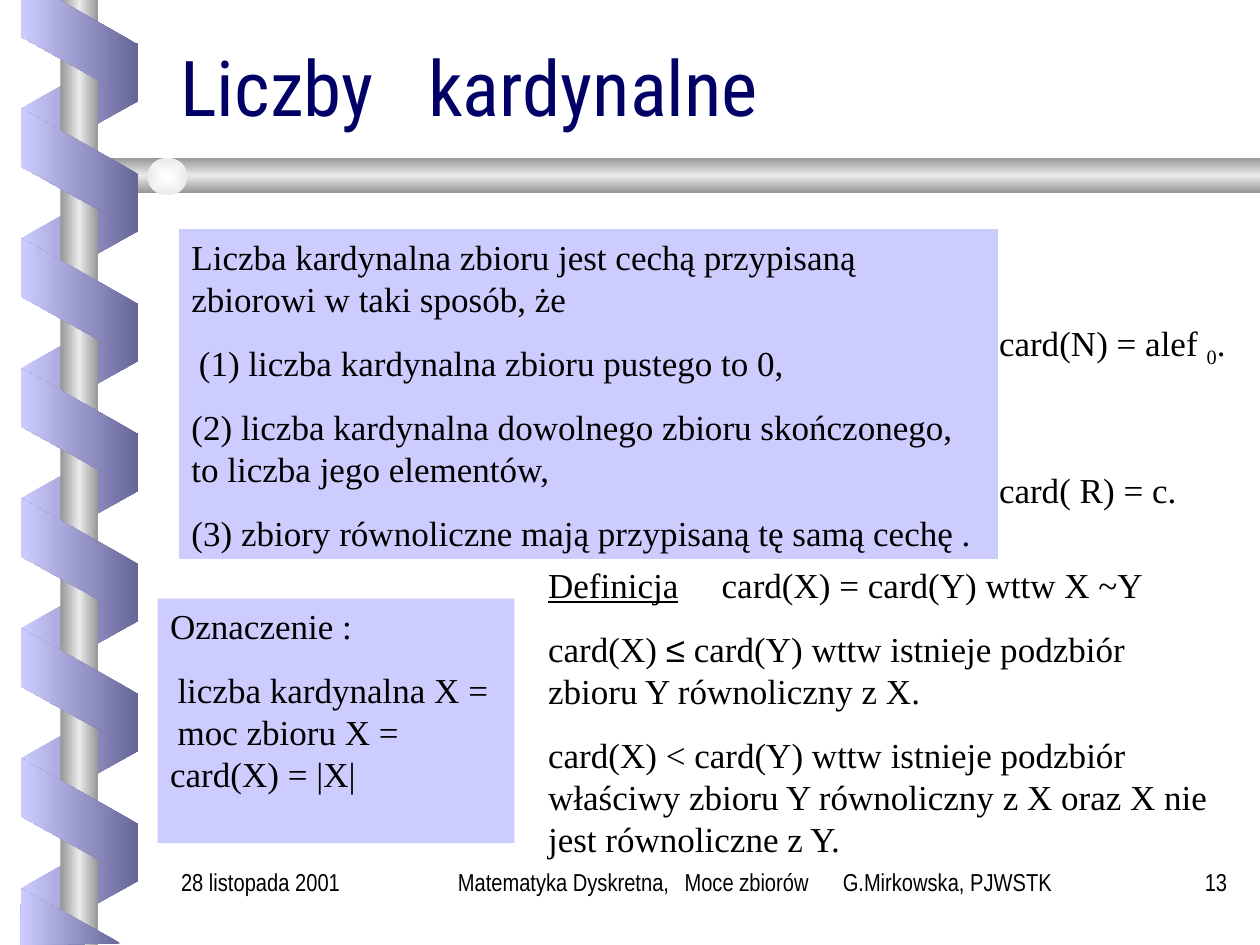
from dataclasses import dataclass

from pptx import Presentation
from pptx.dml.color import RGBColor
from pptx.enum.shapes import MSO_SHAPE
from pptx.enum.text import MSO_ANCHOR, MSO_AUTO_SIZE, PP_ALIGN
from pptx.oxml import parse_xml
from pptx.oxml.ns import nsdecls, qn
from pptx.util import Cm, Pt

RECTANGLE, OVAL, PARALLELOGRAM = MSO_SHAPE.RECTANGLE, MSO_SHAPE.OVAL, MSO_SHAPE.PARALLELOGRAM
LEFT, CENTER, RIGHT = PP_ALIGN.LEFT, PP_ALIGN.CENTER, PP_ALIGN.RIGHT
BOTTOM, TOP = MSO_ANCHOR.BOTTOM, MSO_ANCHOR.TOP
FIXED = MSO_AUTO_SIZE.NONE

SERIF, FOOTER_FONT, TITLE_FONT = "Times New Roman", "Arial Narrow", "Roboto Condensed"
LAVENDER, VIOLET, BLACK, NAVY = "CCCCFF", "666699", "000000", "000066"
RIBBON_BACK = [(0, LAVENDER), (100, VIOLET)]
RIBBON_FRONT = [(0, VIOLET), (100, LAVENDER)]
METAL = [(0, "969696"), (50, "EAEAEA"), (100, "969696")]
PEARL = [(0, "FEFFFF"), (100, "EAEAEA")]
RIBBON_STEP = 2.62


@dataclass
class Span:
    text: str
    font: str = SERIF
    underline: bool = False
    subscript: bool = False


@dataclass
class Para:
    spans: list[Span]
    space_before: float = 12.5
    margin: float = 0
    tabs: tuple[float, ...] = ()
    align: PP_ALIGN = LEFT
    line_spacing: float | None = None


@dataclass
class Box:
    """Position and size are in centimetres."""
    left: float
    top: float
    width: float
    height: float
    paras: list[Para]
    fill: str | None = None
    size: float = 20
    inset: float = 0.25


def line(text: str, **options) -> Para:
    return Para([Span(text)], **options)


def footer(left: float, width: float, text: str, inset: float = 0.25, **options) -> Box:
    para = Para([Span(text, FOOTER_FONT)], **options)
    return Box(left, 17.35, width, 1.27, [para], size=14, inset=inset)


BOXES = [
    Box(3.61, 4.62, 16.51, 6.65, [
        line("Liczba kardynalna zbioru jest cechą przypisaną zbiorowi w taki sposób, że"),
        line("(1) liczba kardynalna zbioru pustego to 0,", margin=0.15),
        line("(2) liczba kardynalna dowolnego zbioru skończonego, to liczba jego elementów,"),
        line("(3) zbiory równoliczne mają przypisaną tę samą cechę ."),
    ], fill=LAVENDER),
    Box(3.18, 12.07, 7.19, 4.93, [
        line("Oznaczenie :"),
        line("liczba kardynalna X =", margin=0.15),
        line("moc zbioru X =", margin=0.15, space_before=0),
        line("card(X) = |X|", space_before=0),
    ], fill=LAVENDER),
    Box(19.89, 6.35, 5.51, 1.22, [
        Para([Span("card(N) = alef "), Span("0", subscript=True), Span(".")]),
    ]),
    Box(19.89, 9.32, 4.88, 1.12, [line("card( R) = c.")]),
    Box(10.8, 11.23, 13.97, 6.22, [
        Para([Span("Definicja", underline=True),
              Span("\tcard(X) = card(Y) wttw X ~Y")], tabs=(3.5,)),
        Para([Span("card(X) "), Span("≤", "Arial"),
              Span(" card(Y) wttw istnieje podzbiór zbioru Y równoliczny z X.")]),
        line("card(X) < card(Y) wttw istnieje podzbiór właściwy zbioru Y "
             "równoliczny z X oraz X nie jest równoliczne z Y."),
    ]),
    footer(8.05, 14.61, "Matematyka Dyskretna,\tMoce zbiorów\tG.Mirkowska, PJWSTK",
           inset=1.18, tabs=(4.57, 7.76)),
    footer(22.86, 2.13, "13", align=RIGHT),
    footer(3.4, 4.42, "28 listopada 2001"),
]


def color(value: str) -> RGBColor:
    return RGBColor.from_string(value)


def paint_gradient(shape, stops, angle: int | None) -> None:
    """Fill along the angle, or from the centre outwards when it is None."""
    marks = "".join(f'<a:gs pos="{position * 1000}"><a:srgbClr val="{value}"/></a:gs>'
                    for position, value in stops)
    if angle is None:
        shade = ('<a:path path="rect"><a:fillToRect l="50000" t="50000" '
                 'r="50000" b="50000"/></a:path>')
    else:
        shade = f'<a:lin ang="{angle * 60000}" scaled="0"/>'
    shape.fill.gradient()
    properties = shape._element.spPr
    properties.replace(properties.find(qn("a:gradFill")), parse_xml(
        f'<a:gradFill {nsdecls("a")} rotWithShape="0"><a:gsLst>{marks}</a:gsLst>{shade}</a:gradFill>'))
    shape.line.fill.background()
    shape.shadow.inherit = False


def add_preset(page, kind, left, top, width, height, stops, angle):
    shape = page.shapes.add_shape(kind, Cm(left), Cm(top), Cm(width), Cm(height))
    paint_gradient(shape, stops, angle)
    return shape


def add_outline(page, points, stops, angle) -> None:
    corners = [(Cm(x), Cm(y)) for x, y in points]
    builder = page.shapes.build_freeform(*corners[0])
    builder.add_line_segments(corners[1:], close=True)
    paint_gradient(builder.convert_to_shape(), stops, angle)


def add_ribbon(page, first_top: float, count: int, rotation: int, stops, flip: bool) -> None:
    for turn in range(count):
        band = add_preset(page, PARALLELOGRAM, 0.36, first_top + turn * RIBBON_STEP,
                          2.49, 2.36, stops, 180)
        band.adjustments[0] = 0.56
        band.rotation = rotation
        if flip:
            band._element.spPr.xfrm.set("flipH", "1")


def add_spiral(page) -> None:
    add_ribbon(page, 0.93, 7, 90, RIBBON_BACK, flip=True)
    add_preset(page, RECTANGLE, 1.22, 0, 0.76, 19.05, METAL, 180)
    add_outline(page, [(25.4, 3.18), (1.93, 3.18), (1.52, 3.53), (1.93, 3.89), (25.4, 3.89)],
                METAL, 90)
    add_preset(page, OVAL, 2.97, 3.18, 0.81, 0.76, PEARL, None)
    add_ribbon(page, 2.25, 6, 270, RIBBON_FRONT, flip=False)
    add_outline(page, [(0.43, 0), (0.43, 0.74), (2.77, 2.06), (2.77, 0.89), (1.19, 0)],
                RIBBON_FRONT, 180)
    add_outline(page, [(2.44, 19.02), (0.43, 17.91), (0.41, 19.05)], RIBBON_FRONT, 180)


def write(frame, paras: list[Para], size: float, ink: str) -> None:
    for index, item in enumerate(paras):
        para = frame.add_paragraph() if index else frame.paragraphs[0]
        para.alignment = item.align
        para.space_before = Pt(item.space_before if index else 0)
        if item.line_spacing:
            para.line_spacing = item.line_spacing
        properties = para._p.get_or_add_pPr()
        if item.margin:
            properties.set("marL", str(Cm(item.margin)))
        if item.tabs:
            stops = "".join(f'<a:tab pos="{Cm(tab)}" algn="l"/>' for tab in item.tabs)
            properties.append(parse_xml(f'<a:tabLst {nsdecls("a")}>{stops}</a:tabLst>'))
        for part in item.spans:
            span = para.add_run()
            span.text = part.text
            span.font.name, span.font.size = part.font, Pt(size)
            span.font.color.rgb = color(ink)
            if part.underline:
                span.font.underline = True
            if part.subscript:
                span.font._element.set("baseline", "-25000")


def add_box(page, box: Box) -> None:
    shape = page.shapes.add_textbox(Cm(box.left), Cm(box.top), Cm(box.width), Cm(box.height))
    if box.fill:
        shape.fill.solid()
        shape.fill.fore_color.rgb = color(box.fill)
    frame = shape.text_frame
    frame.word_wrap, frame.auto_size, frame.vertical_anchor = True, FIXED, TOP
    frame.margin_left = Cm(box.inset)
    write(frame, box.paras, box.size, BLACK)


def set_title(page) -> None:
    title = page.shapes.title
    title.left, title.top, title.width, title.height = Cm(3.38), Cm(1.17), Cm(21.59), Cm(1.6)
    frame = title.text_frame
    frame.word_wrap, frame.auto_size, frame.vertical_anchor = True, FIXED, BOTTOM
    write(frame, [Para([Span("Liczby\tkardynalne", TITLE_FONT)], tabs=(5,), line_spacing=0.8)],
          44, NAVY)


def main() -> None:
    deck = Presentation()
    deck.slide_width, deck.slide_height = Cm(25.4), Cm(19.05)
    page = deck.slides.add_slide(deck.slide_layouts[5])
    add_spiral(page)
    set_title(page)
    for box in BOXES:
        add_box(page, box)
    deck.save("out.pptx")


if __name__ == "__main__":
    main()
